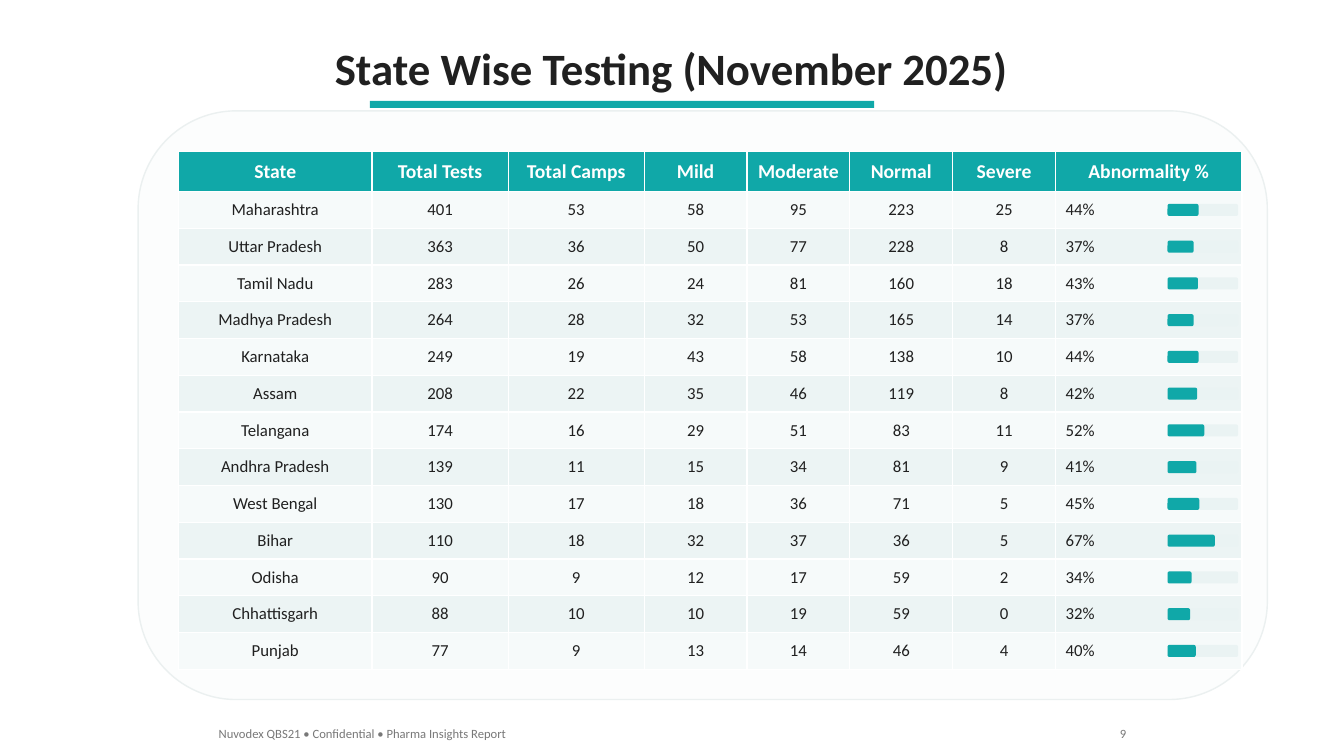
from pptx import Presentation
from pptx.dml.color import RGBColor
from pptx.enum import shapes, text
from pptx.util import Pt

TITLE = "State Wise Testing (November 2025)"
FOOTER = "Nuvodex QBS21 • Confidential • Pharma Insights Report"
PAGE = "9"
HEADERS = ["State", "Total Tests", "Total Camps", "Mild", "Moderate",
           "Normal", "Severe", "Abnormality %"]
STATES = [
    ("Maharashtra", 401, 53, 58, 95, 223, 25, 44),
    ("Uttar Pradesh", 363, 36, 50, 77, 228, 8, 37),
    ("Tamil Nadu", 283, 26, 24, 81, 160, 18, 43),
    ("Madhya Pradesh", 264, 28, 32, 53, 165, 14, 37),
    ("Karnataka", 249, 19, 43, 58, 138, 10, 44),
    ("Assam", 208, 22, 35, 46, 119, 8, 42),
    ("Telangana", 174, 16, 29, 51, 83, 11, 52),
    ("Andhra Pradesh", 139, 11, 15, 34, 81, 9, 41),
    ("West Bengal", 130, 17, 18, 36, 71, 5, 45),
    ("Bihar", 110, 18, 32, 37, 36, 5, 67),
    ("Odisha", 90, 9, 12, 17, 59, 2, 34),
    ("Chhattisgarh", 88, 10, 10, 19, 59, 0, 32),
    ("Punjab", 77, 9, 13, 14, 46, 4, 40),
]
COLORS = {"teal": "10A8A8", "ink": "202020", "white": "FFFFFF", "grey": "787878",
          "panel": "FCFDFD", "outline": "EBF0F0", "track": "EAF3F3",
          "light": "F6FAFA", "band": "ECF4F4"}
FONT = "Calibri"

# Lengths in px, 100 px to the inch
PX = 9144
COLUMNS = [192, 135, 135, 102, 102, 102, 102, 185]
TABLE_X, TABLE_Y, TABLE_H, HEADER_H = 177, 150, 514, 40
BAR_X, BAR_W, BAR_H = 1158, 70, 12
ROW_H = (TABLE_H - HEADER_H) / len(STATES)

LEFT, CENTER, RIGHT = text.PP_ALIGN.LEFT, text.PP_ALIGN.CENTER, text.PP_ALIGN.RIGHT
RECT, ROUNDED = shapes.MSO_SHAPE.RECTANGLE, shapes.MSO_SHAPE.ROUNDED_RECTANGLE


def emu(*lengths):
    return [round(length * PX) for length in lengths]


def rgb(name):
    return RGBColor.from_string(COLORS[name])


def write(tf, content, size, color, align, bold=False):
    p = tf.paragraphs[0]
    p.text = content
    p.alignment = align
    p.font.name, p.font.size, p.font.bold = FONT, Pt(size), bold
    p.font.color.rgb = rgb(color)


def add_label(s, box, content, size, color, align, bold=False):
    tf = s.shapes.add_textbox(*emu(*box)).text_frame
    tf.word_wrap = False
    tf.auto_size = text.MSO_AUTO_SIZE.SHAPE_TO_FIT_TEXT
    write(tf, content, size, color, align, bold)


def add_block(s, kind, box, fill, line=None):
    sp = s.shapes.add_shape(kind, *emu(*box))
    sp.shadow.inherit = False
    sp.fill.solid()
    sp.fill.fore_color.rgb = rgb(fill)
    if line:
        sp.line.color.rgb = rgb(line)
        sp.line.width = Pt(1)
    else:
        sp.line.fill.background()


def add_state_table(s):
    box = emu(TABLE_X, TABLE_Y, sum(COLUMNS), TABLE_H)
    table = s.shapes.add_table(len(STATES) + 1, len(COLUMNS), *box).table
    for column, width in zip(table.columns, emu(*COLUMNS)):
        column.width = width
    heights = emu(HEADER_H, *[ROW_H] * len(STATES))
    for row, height in zip(table.rows, heights):
        row.height = height

    for r, values in enumerate([HEADERS, *STATES]):
        header = r == 0
        fill = "teal" if header else "light" if r % 2 else "band"
        for c, value in enumerate(values):
            percent = not header and c == len(COLUMNS) - 1
            cell = table.cell(r, c)
            cell.vertical_anchor = text.MSO_ANCHOR.MIDDLE
            cell.fill.solid()
            cell.fill.fore_color.rgb = rgb(fill)
            write(cell.text_frame, f"{value}%" if percent else str(value),
                  14 if header else 12, "white" if header else "ink",
                  LEFT if percent else CENTER, header)


def add_abnormality_bars(s):
    for i, (*_, percent) in enumerate(STATES):
        y = TABLE_Y + HEADER_H + (i + 0.5) * ROW_H - BAR_H / 2
        add_block(s, ROUNDED, (BAR_X, y, BAR_W, BAR_H), "track")
        add_block(s, ROUNDED, (BAR_X, y, BAR_W * percent / 100, BAR_H), "teal")


def main():
    prs = Presentation()
    prs.slide_width, prs.slide_height = emu(1333, 750)
    s = prs.slides.add_slide(prs.slide_layouts[6])
    add_label(s, (319, 35, 694, 64), TITLE, 32, "ink", CENTER, True)
    add_block(s, RECT, (367, 100, 500, 7), "teal")
    add_block(s, ROUNDED, (137, 110, 1120, 584), "panel", "outline")
    add_state_table(s)
    add_abnormality_bars(s)
    add_label(s, (207, 715, 305, 25), FOOTER, 9, "grey", LEFT)
    add_label(s, (1100, 715, 27, 25), PAGE, 9, "grey", RIGHT)
    prs.save("out.pptx")


if __name__ == "__main__":
    main()
